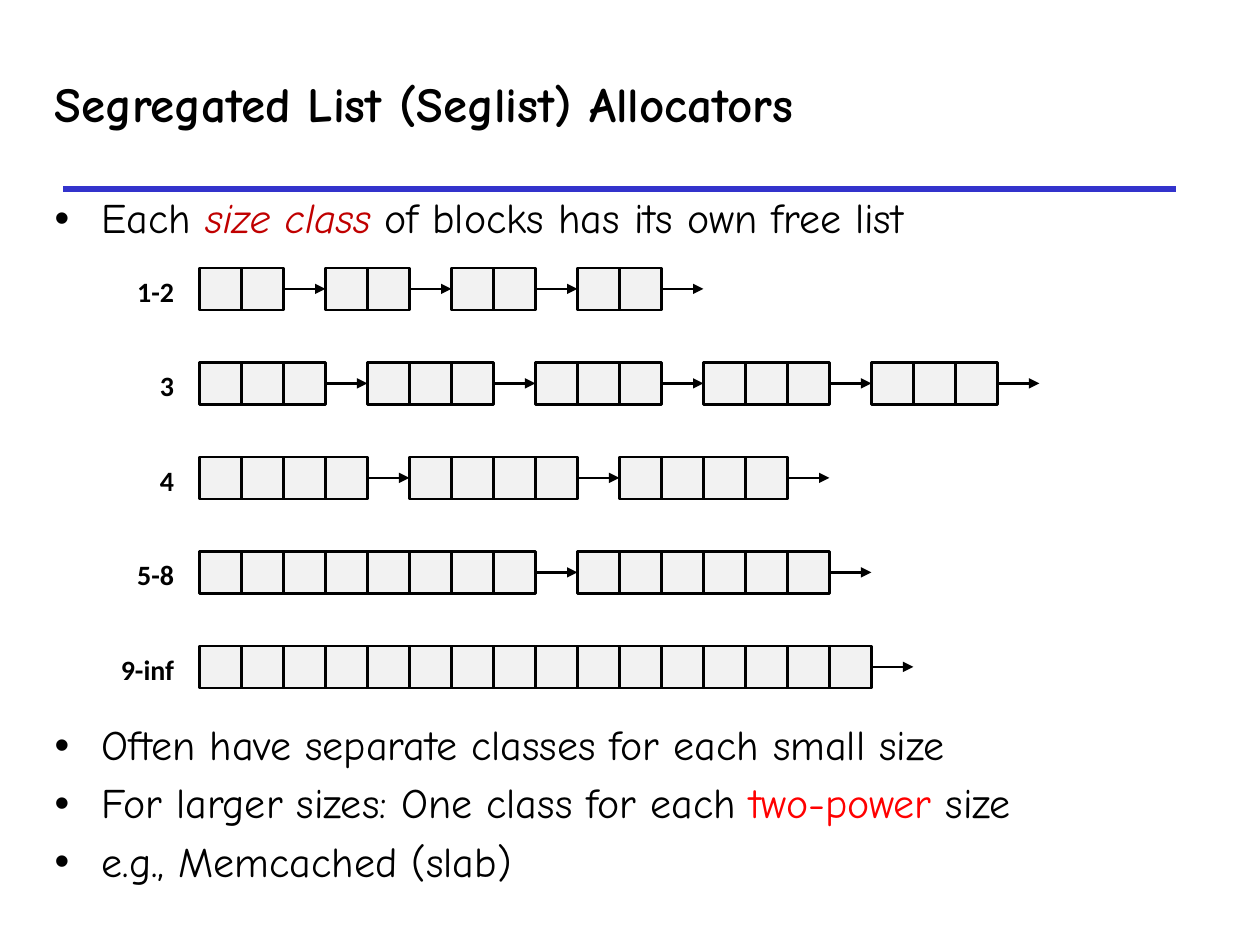
from pptx import Presentation
from pptx.dml.color import RGBColor
from pptx.enum.shapes import MSO_CONNECTOR, MSO_SHAPE
from pptx.enum.text import MSO_ANCHOR, PP_ALIGN
from pptx.oxml.ns import qn
from pptx.util import Cm, Pt
from lxml.etree import SubElement

HAND_FONT, LABEL_FONT = "Comic Neue", "Calibri"
CELL = 2.54 / 3
ROW_PITCH = 2.25 * CELL
LISTS_LEFT, LISTS_TOP = 4.02, 5.4
LABEL_WIDTH, LABEL_RIGHT = 1.6, 3.76
BULLET_INDENT = 0.95

# Size class, then the number of cells in each free block
FREE_LISTS = [
    ("1-2", [2, 2, 2, 2]),
    ("3", [3, 3, 3, 3, 3]),
    ("4", [4, 4, 4]),
    ("5-8", [8, 6]),
    ("9-inf", [16]),
]
INTRO = [[("Each ", {}), ("size class ", {"color": "C00000", "italic": True}),
          ("of blocks has its own free list", {})]]
NOTES = [
    [("Often have separate classes for each small size", {})],
    [("For larger sizes: One class for each ", {}),
     ("two-power", {"color": "FF0000"}), (" size", {})],
    [("e.g., Memcached (slab)", {})],
]


def rgb(hex_color):
    return RGBColor.from_string(hex_color)


def add_run(paragraph, text, font=HAND_FONT, size=24, color="000000",
            bold=False, italic=False):
    run = paragraph.add_run()
    run.text = text
    run.font.name = font
    run.font.size = Pt(size)
    run.font.bold = bold
    run.font.italic = italic
    run.font.color.rgb = rgb(color)


def add_frame(slide, left, top, width, height, wrap=True):
    frame = slide.shapes.add_textbox(Cm(left), Cm(top), Cm(width), Cm(height)).text_frame
    frame.word_wrap = wrap
    return frame


def add_title(slide, text):
    frame = add_frame(slide, 0.85, 1.37, 22.86, 1.6)
    frame.vertical_anchor = MSO_ANCHOR.MIDDLE
    title = frame.paragraphs[0]
    title.line_spacing = 0.87
    add_run(title, text, size=28, bold=True)


def set_bullet(paragraph):
    properties = paragraph._p.get_or_add_pPr()
    properties.set("marL", str(Cm(BULLET_INDENT)))
    properties.set("indent", str(-Cm(BULLET_INDENT)))
    bullet_color = SubElement(properties, qn("a:buClr"))
    SubElement(bullet_color, qn("a:srgbClr"), val="000000")
    SubElement(properties, qn("a:buFont"), typeface="Arial")
    SubElement(properties, qn("a:buChar"), char="•")


def add_bullets(slide, top, height, items):
    frame = add_frame(slide, 0.85, top, 23.1, height)
    for index, item in enumerate(items):
        paragraph = frame.add_paragraph() if index else frame.paragraphs[0]
        set_bullet(paragraph)
        paragraph.line_spacing = 0.95
        paragraph.space_before = Pt(6 if index else 0)
        for text, style in item:
            add_run(paragraph, text, **style)


def add_line(slide, x1, y1, x2, y2, color="000000", width=1.5):
    line = slide.shapes.add_connector(MSO_CONNECTOR.STRAIGHT, Cm(x1), Cm(y1), Cm(x2), Cm(y2))
    line.line.color.rgb = rgb(color)
    line.line.width = Pt(width)
    SubElement(line._element.spPr, qn("a:effectLst"))
    return line


def add_cell(slide, left, top):
    cell = slide.shapes.add_shape(MSO_SHAPE.RECTANGLE, Cm(left), Cm(top), Cm(CELL), Cm(CELL))
    cell.shadow.inherit = False
    cell.fill.solid()
    cell.fill.fore_color.rgb = rgb("F2F2F2")
    cell.line.color.rgb = rgb("000000")
    cell.line.width = Pt(1.5)
    return cell


def add_pointer(slide, left, middle, source, target):
    """Arrow one cell long; the last block of a list has no target."""
    pointer = add_line(slide, left, middle, left + CELL, middle)
    SubElement(pointer.line._get_or_add_ln(), qn("a:tailEnd"), type="triangle")
    pointer.begin_connect(source, 3)
    if target is not None:
        pointer.end_connect(target, 1)


def add_free_list(slide, top, label, block_sizes):
    frame = add_frame(slide, LABEL_RIGHT - LABEL_WIDTH, top, LABEL_WIDTH, 0.94, wrap=False)
    frame.paragraphs[0].alignment = PP_ALIGN.RIGHT
    add_run(frame.paragraphs[0], label, font=LABEL_FONT, size=16, bold=True)

    blocks, pointer_lefts = [], []
    left = LISTS_LEFT
    for size in block_sizes:
        blocks.append([add_cell(slide, left + i * CELL, top) for i in range(size)])
        pointer_lefts.append(left + size * CELL)
        left += (size + 1) * CELL

    targets = [block[0] for block in blocks[1:]] + [None]
    for block, pointer_left, target in zip(blocks, pointer_lefts, targets):
        add_pointer(slide, pointer_left, top + CELL / 2, block[-1], target)


def main():
    presentation = Presentation()
    presentation.slide_width, presentation.slide_height = Cm(25.4), Cm(19.05)
    slide = presentation.slides.add_slide(presentation.slide_layouts[6])

    add_line(slide, 1.27, 3.81, 23.7, 3.81, color="3333CC", width=3)
    add_title(slide, "Segregated List (Seglist) Allocators")
    add_bullets(slide, 3.81, 1.2, INTRO)
    for row, (label, block_sizes) in enumerate(FREE_LISTS):
        add_free_list(slide, LISTS_TOP + row * ROW_PITCH, label, block_sizes)
    add_bullets(slide, 14.43, 3.8, NOTES)

    presentation.save("out.pptx")


if __name__ == "__main__":
    main()
